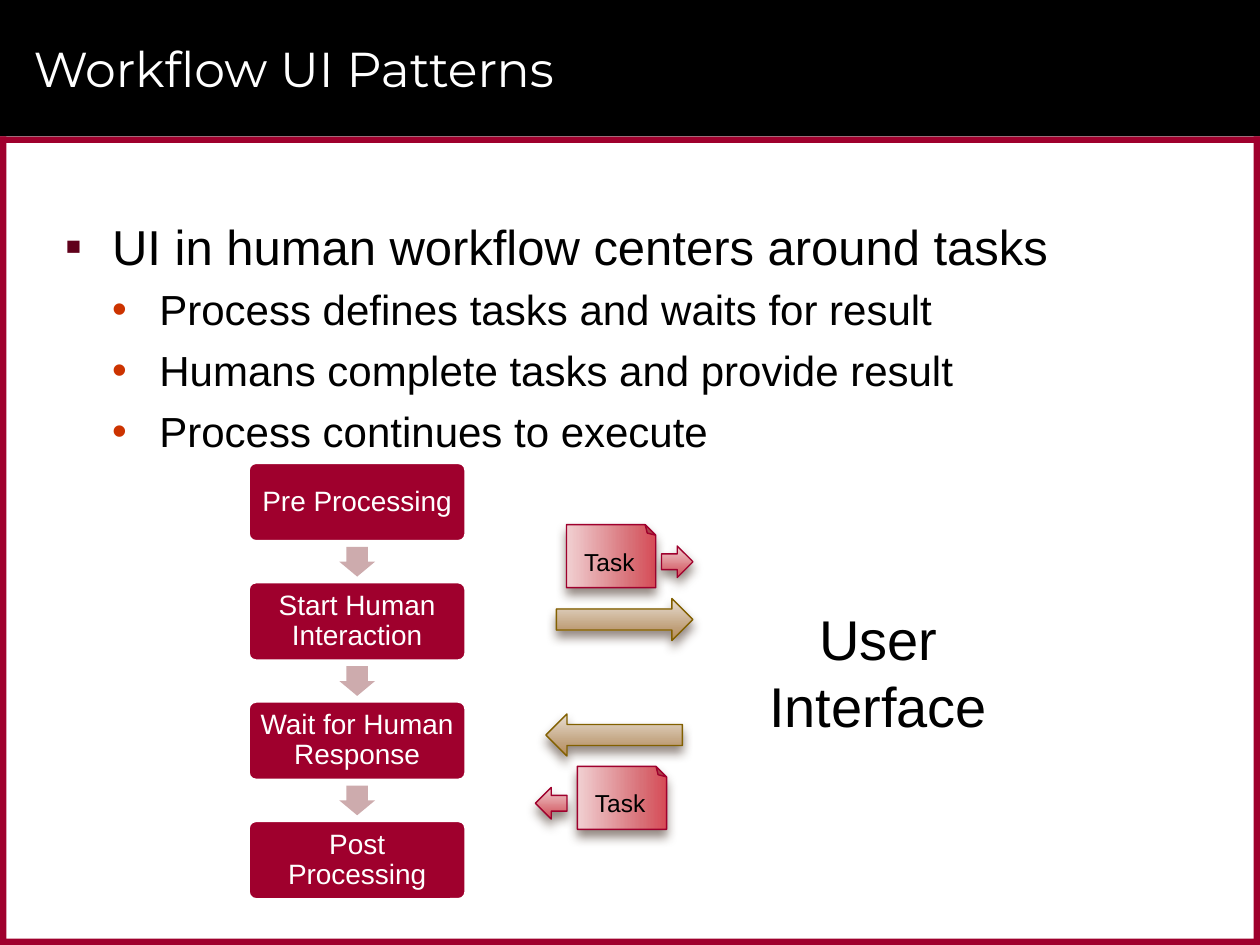
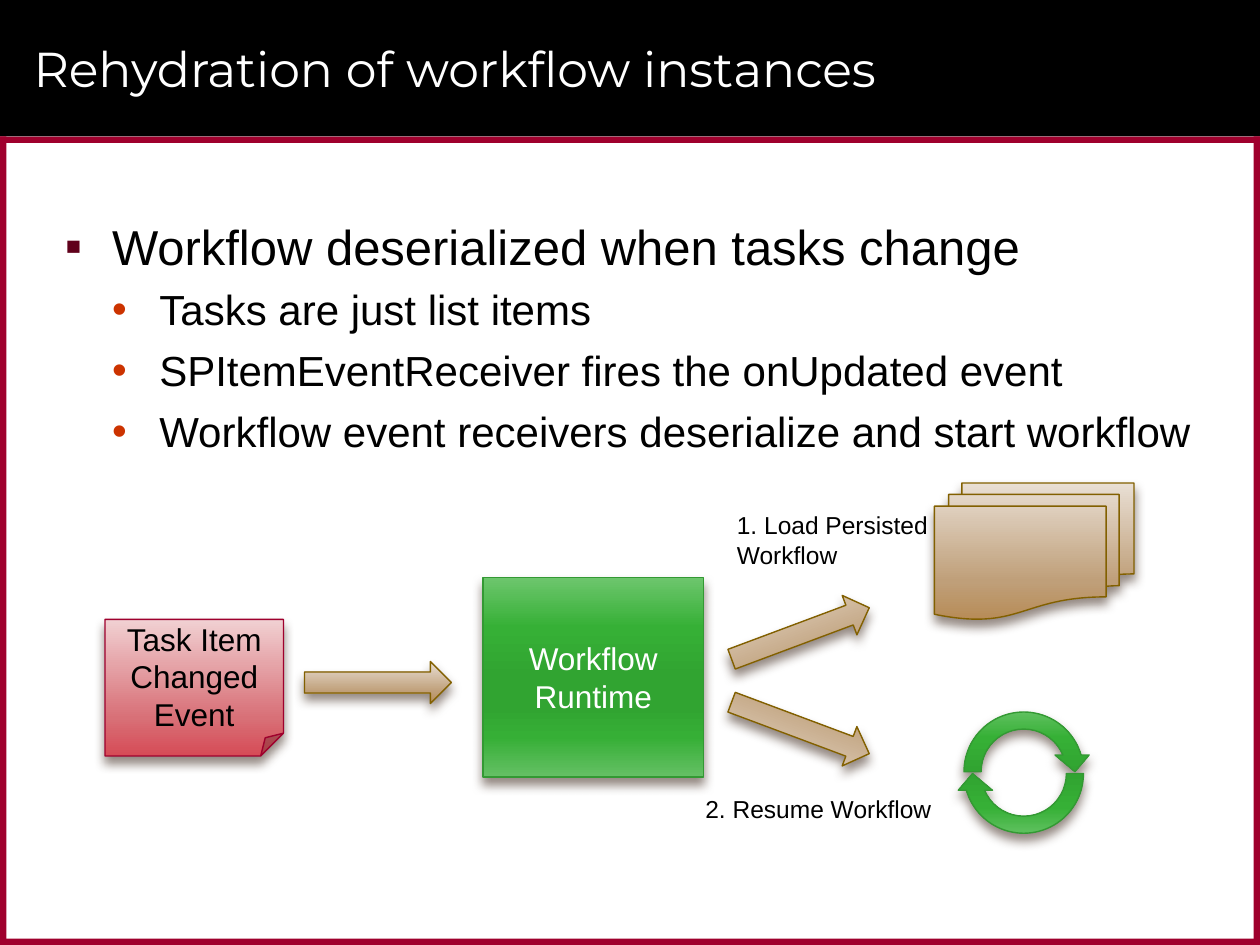
from dataclasses import dataclass

from pptx import Presentation, oxml
from pptx import util as u
from pptx.dml import color as dye
from pptx.enum import shapes as kinds
from pptx.enum import text as styles
from pptx.oxml import ns

Pt = u.Pt
KIND = kinds.MSO_SHAPE
ALIGN = styles.PP_ALIGN
MIDDLE = styles.MSO_ANCHOR.MIDDLE

HEX = {
    "white": "FFFFFF", "black": "000000", "wine": "9F002D", "blush": "CDABAD",
    "square": "60001B", "dot": "CC3300", "gold": "826000", "leaf": "339933",
    "shade": "4E3B30",
}
FADE = {
    "gold": ((0, "E9DFD4"), (72, "BF9F79"), (100, "B78C57")),
    "wine": ((0, "F1D0D2"), (72, "D87077"), (100, "D64B56")),
    "leaf": ((0, "6DC66D"), (25, "36B036"), (50, "31A431"),
             (65, "31A431"), (80, "36AF36"), (100, "65C065")),
}
WIDE, HIGH = 720, 540
BAND, EDGE = 78, 3.6


@dataclass(frozen=True)
class Item:
    kind: KIND
    left: float
    top: float
    width: float
    height: float
    tone: str
    turn: float = 0
    flip: str = ""
    words: str = ""
    ink: str = "black"


@dataclass(frozen=True)
class Label:
    lines: tuple[str, ...]
    left: float
    top: float
    width: float
    height: float
    size: float = 14
    align: ALIGN = ALIGN.LEFT
    wrap: bool = True


def tint(name: str) -> dye.RGBColor:
    return dye.RGBColor.from_string(HEX[name])


def write(frame, lines, *, size=18, ink="black", font="Arial", align=ALIGN.LEFT,
          anchor=styles.MSO_ANCHOR.TOP, wrap=True, inset=None, space=None):
    frame.word_wrap = wrap
    frame.vertical_anchor = anchor
    if inset is not None:
        frame.margin_left = frame.margin_right = Pt(inset)
        frame.margin_top = frame.margin_bottom = Pt(inset)
    for spot, line in enumerate(lines):
        para = frame.paragraphs[0] if spot == 0 else frame.add_paragraph()
        para.alignment = align
        if space:
            para.line_spacing = space
        run = para.add_run()
        run.text = line
        run.font.size = Pt(size)
        run.font.name = font
        run.font.color.rgb = tint(ink)


def place(slide, kind: KIND, left: float, top: float, width: float,
          height: float, fill: str):
    shape = slide.shapes.add_shape(kind, Pt(left), Pt(top), Pt(width), Pt(height))
    shape.shadow.inherit = False
    shape.fill.solid()
    shape.fill.fore_color.rgb = tint(fill)
    shape.line.fill.background()
    return shape


def draw(slide, item: Item) -> None:
    shape = place(slide, item.kind, item.left, item.top, item.width,
                  item.height, item.tone)
    shape.rotation = item.turn
    props = shape._element.spPr
    if item.flip:
        props.find(ns.qn("a:xfrm")).set(item.flip, "1")
    stops = "".join(
        f'<a:gs pos="{pos * 1000}"><a:srgbClr val="{code}"/></a:gs>'
        for pos, code in FADE[item.tone])
    props.replace(props.find(ns.qn("a:solidFill")), oxml.parse_xml(
        f'<a:gradFill {ns.nsdecls("a")} rotWithShape="1"><a:gsLst>{stops}</a:gsLst>'
        '<a:lin ang="5400000" scaled="0"/></a:gradFill>'))
    shape.line.color.rgb = tint(item.tone)
    shape.line.width = Pt(0.79)
    props.find(ns.qn("a:effectLst")).append(oxml.parse_xml(
        f'<a:outerShdw {ns.nsdecls("a")} blurRad="{Pt(6)}" dist="{Pt(4)}" '
        f'dir="5400000" rotWithShape="0"><a:srgbClr val="{HEX["shade"]}">'
        '<a:alpha val="60000"/></a:srgbClr></a:outerShdw>'))
    if item.words:
        write(shape.text_frame, [item.words], ink=item.ink,
              align=ALIGN.CENTER, anchor=MIDDLE)


def note(slide, label: Label) -> None:
    box = slide.shapes.add_textbox(Pt(label.left), Pt(label.top),
                                   Pt(label.width), Pt(label.height))
    write(box.text_frame, label.lines, size=label.size, align=label.align,
          wrap=label.wrap)


def dress(deck):
    layout = deck.slide_layouts[5]
    slide = deck.slides.add_slide(layout)
    side = HIGH - BAND
    bands = (
        ("black", 0, 0, WIDE, BAND),
        ("wine", 0, BAND, WIDE, EDGE),
        ("wine", 0, HIGH - EDGE, WIDE, EDGE),
        ("wine", WIDE - EDGE, BAND, EDGE, side),
        ("wine", 0, BAND, EDGE, side),
    )
    for spot, (fill, *area) in enumerate(bands):
        band = place(slide, KIND.RECTANGLE, *area, fill)
        layout.shapes._spTree.insert(2 + spot, band._element)
    return slide


def outline(slide, title: str, points: tuple[str, ...]) -> None:
    head = slide.shapes.title
    head.left, head.top, head.width, head.height = Pt(12), Pt(6), Pt(678), Pt(66)
    write(head.text_frame, [title], size=28, ink="white", font="Montserrat",
          anchor=MIDDLE)
    box = slide.shapes.add_textbox(Pt(30), Pt(120), Pt(660), Pt(168))
    write(box.text_frame, points, size=24)
    for spot, para in enumerate(box.text_frame.paragraphs):
        level = min(spot, 1)
        mark, tone = (("▪", "square"), ("•", "dot"))[level]
        props = para._p.get_or_add_pPr()
        props.set("marL", str(Pt(27 * (level + 1))))
        props.set("indent", str(Pt(-27)))
        for part in (f'buClr {ns.nsdecls("a")}><a:srgbClr val="{HEX[tone]}"/></a:buClr',
                     f'buFont {ns.nsdecls("a")} typeface="Arial"/',
                     f'buChar {ns.nsdecls("a")} char="{mark}"/'):
            props.append(oxml.parse_xml(f"<a:{part}>"))
        para.level = level
        para.space_after = Pt(3 if level else 2)
        if level:
            para.space_before = Pt(3)
        else:
            para.runs[0].font.size = Pt(28)


def chain(slide, steps: tuple[str, ...]) -> None:
    left, top, width, height, pitch = 141.8, 264.2, 124.6, 45.4, 68.2
    for spot, step in enumerate(steps):
        level = top + spot * pitch
        card = place(slide, KIND.ROUNDED_RECTANGLE, left, level, width, height, "wine")
        card.adjustments[0] = 0.1
        card.line.color.rgb = tint("white")
        card.line.width = Pt(2)
        write(card.text_frame, [step], size=16, ink="white", align=ALIGN.CENTER,
              anchor=MIDDLE, inset=4, space=0.9)
        if spot < len(steps) - 1:
            link = place(slide, KIND.RIGHT_ARROW, left + width / 2 - 8.5,
                         level + 46.6, 17, 20.4, "blush")
            link.rotation = 90
            link.adjustments[0] = 0.6


def patterns(slide) -> None:
    outline(slide, "Workflow UI Patterns", (
        "UI in human workflow centers around tasks",
        "Process defines tasks and waits for result",
        "Humans complete tasks and provide result",
        "Process continues to execute",
    ))
    chain(slide, ("Pre Processing", "Start Human Interaction",
                  "Wait for Human Response", "Post Processing"))
    note(slide, Label(("User", "Interface"), 432, 342, 139.7, 85, 32,
                      ALIGN.CENTER, False))
    for left, top, flip in ((318, 342, ""), (312, 408, "flipH")):
        draw(slide, Item(KIND.RIGHT_ARROW, left, top, 78, 24, "gold", flip=flip))
    for left, top in ((331.2, 292.3), (337.4, 430.4)):
        draw(slide, Item(KIND.FOLDED_CORNER, left, top, 36, 51, "wine", turn=270))
        note(slide, Label(("Task",), left - 4.5, top + 16.6, 48, 24.2))
    for left, top, flip in ((378, 312, ""), (306, 450, "flipH")):
        draw(slide, Item(KIND.RIGHT_ARROW, left, top, 18, 18, "wine", flip=flip))


def revive(slide) -> None:
    outline(slide, "Rehydration of workflow instances", (
        "Workflow deserialized when tasks change",
        "Tasks are just list items",
        "SPItemEventReceiver fires the onUpdated event",
        "Workflow event receivers deserialize and start workflow",
    ))
    items = (
        Item(KIND.RECTANGLE, 276, 330, 126, 114, "leaf",
             words="Workflow Runtime", ink="white"),
        Item(KIND.RIGHT_ARROW, 174, 378, 84, 24, "gold"),
        Item(KIND.FLOWCHART_MULTIDOCUMENT, 534, 276, 114, 78, "gold"),
        Item(KIND.CIRCULAR_ARROW, 546, 402, 78, 78, "leaf"),
        Item(KIND.CIRCULAR_ARROW, 546, 403, 78, 78, "leaf", turn=180),
        Item(KIND.RIGHT_ARROW, 415.4, 404, 84, 24, "gold", turn=20.5, flip="flipV"),
        Item(KIND.RIGHT_ARROW, 415.4, 350, 84, 24, "gold", turn=339.5),
        Item(KIND.FOLDED_CORNER, 60, 354, 102, 78, "wine",
             words="Task Item Changed Event"),
    )
    for item in items:
        draw(slide, item)
    note(slide, Label(("1. Load Persisted Workflow",), 414, 288, 144, 41))
    note(slide, Label(("2. Resume Workflow",), 396, 450, 144, 24.2))


def main() -> None:
    deck = Presentation()
    deck.slide_width, deck.slide_height = Pt(WIDE), Pt(HIGH)
    patterns(dress(deck))
    revive(deck.slides.add_slide(deck.slide_layouts[5]))
    deck.save("out.pptx")


if __name__ == "__main__":
    main()
